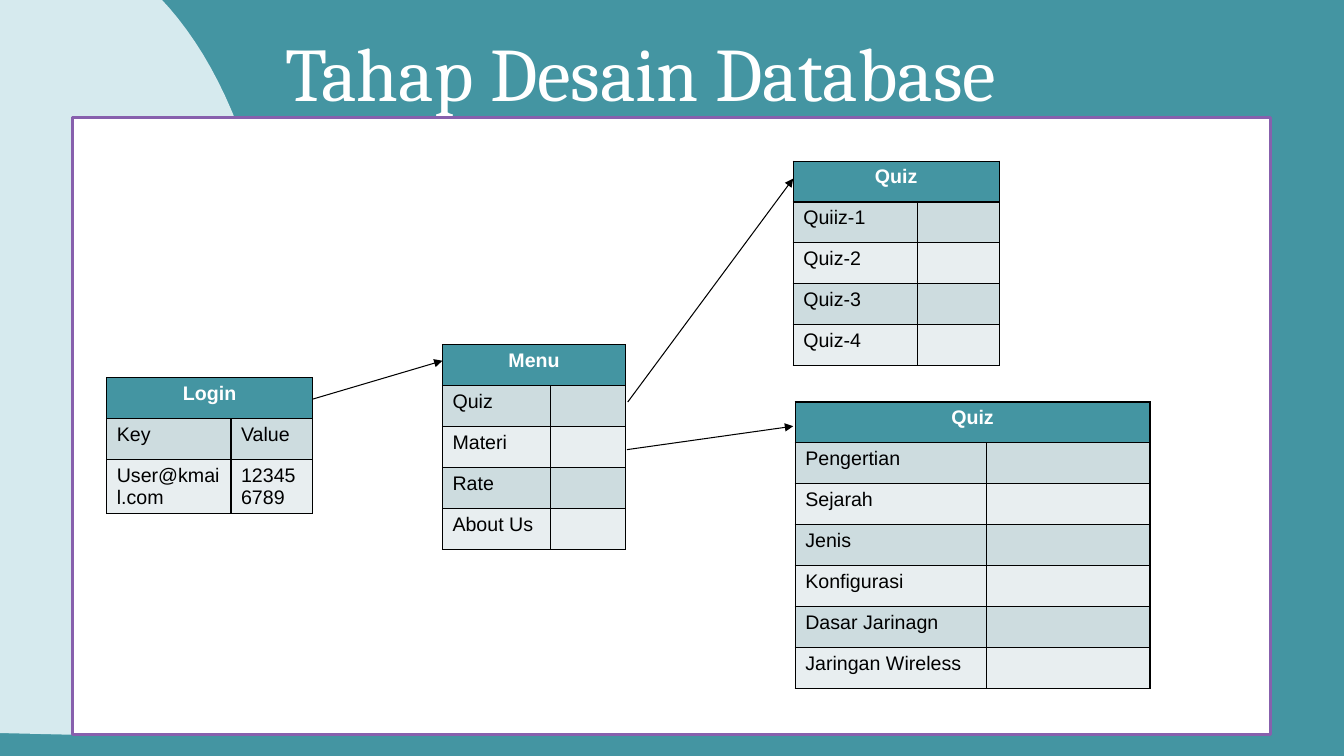
from dataclasses import dataclass

from lxml import etree
from pptx import Presentation
from pptx.dml.color import RGBColor
from pptx.enum.shapes import MSO_CONNECTOR, MSO_SHAPE
from pptx.enum.text import MSO_ANCHOR, PP_ALIGN
from pptx.oxml.ns import qn
from pptx.util import Cm, Pt

STRAIGHT = MSO_CONNECTOR.STRAIGHT
RECTANGLE = MSO_SHAPE.RECTANGLE
TOP = MSO_ANCHOR.TOP
LEFT, CENTER = PP_ALIGN.LEFT, PP_ALIGN.CENTER
TITLE_ONLY = 5
ROW_HEIGHT = 1.03
CURVE_STEPS = 24


@dataclass(frozen=True)
class Theme:
    teal: str = "4495A2"
    mist: str = "D6EAEE"
    white: str = "FFFFFF"
    black: str = "000000"
    purple: str = "8760AD"
    bands: tuple = ("CDDCDF", "E8EEF0")
    title_font: str = "Cambria"
    body_font: str = "Arial"
    title_size: float = 54
    body_size: float = 14
    frame_width: float = 2
    border_width: float = 1
    arrow_width: float = 0.75


def curve(start, first, second, end):
    points = []
    for step in range(1, CURVE_STEPS + 1):
        t = step / CURVE_STEPS
        weights = ((1 - t) ** 3, 3 * t * (1 - t) ** 2, 3 * t**2 * (1 - t), t**3)
        corners = (start, first, second, end)
        points.append(tuple(sum(w * c[axis] for w, c in zip(weights, corners)) for axis in (0, 1)))
    return points


class SlideBuilder:
    def __init__(self, page, theme):
        self.page = page
        self.theme = theme
        self.paint(page.background.fill, theme.teal)

    def paint(self, fill, color):
        fill.solid()
        fill.fore_color.rgb = RGBColor.from_string(color)

    def style(self, para, name, size, color, bold=False, align=LEFT):
        para.alignment = align
        font = para.font
        font.name, font.size, font.bold = name, Pt(size), bold
        font.color.rgb = RGBColor.from_string(color)

    def title(self, text, left, top, width, height):
        box = self.page.shapes.title
        box.left, box.top, box.width, box.height = Cm(left), Cm(top), Cm(width), Cm(height)
        box.text_frame.text = text
        box.text_frame.vertical_anchor = TOP
        para = box.text_frame.paragraphs[0]
        para.line_spacing = 0.9
        self.style(para, self.theme.title_font, self.theme.title_size, self.theme.white)

    def outline(self, points, color):
        scaled = [(Cm(x), Cm(y)) for x, y in points]
        builder = self.page.shapes.build_freeform(*scaled[0])
        builder.add_line_segments(scaled[1:], close=True)
        shape = builder.convert_to_shape()
        shape.shadow.inherit = False
        self.paint(shape.fill, color)
        shape.line.fill.background()

    def frame(self, left, top, width, height):
        shape = self.page.shapes.add_shape(RECTANGLE, Cm(left), Cm(top), Cm(width), Cm(height))
        shape.shadow.inherit = False
        self.paint(shape.fill, self.theme.white)
        self.paint(shape.line.fill, self.theme.purple)
        shape.line.width = Pt(self.theme.frame_width)

    def border(self, cell):
        properties = cell._tc.get_or_add_tcPr()
        for side in ("a:lnL", "a:lnR", "a:lnT", "a:lnB"):
            line = etree.SubElement(properties, qn(side), w=str(Pt(self.theme.border_width)))
            fill = etree.SubElement(line, qn("a:solidFill"))
            etree.SubElement(fill, qn("a:srgbClr"), val=self.theme.black)

    def cell(self, cell, text, background, color, **options):
        self.border(cell)
        self.paint(cell.fill, background)
        cell.text = text
        para = cell.text_frame.paragraphs[0]
        self.style(para, self.theme.body_font, self.theme.body_size, color, **options)

    def table(self, heading, records, left, top, widths):
        theme = self.theme
        count = len(records) + 1
        table = self.page.shapes.add_table(
            count, len(widths), Cm(left), Cm(top), Cm(sum(widths)), Cm(ROW_HEIGHT * count)
        ).table
        table.first_row = table.horz_banding = False
        for column, width in zip(table.columns, widths):
            column.width = Cm(width)
        for row in table.rows:
            row.height = Cm(ROW_HEIGHT)
        for index, text in enumerate((heading, "")):
            self.cell(table.cell(0, index), text, theme.teal, theme.white, bold=True, align=CENTER)
        table.cell(0, 0).merge(table.cell(0, 1))
        for number, record in enumerate(records):
            for index, text in enumerate(record):
                self.cell(table.cell(number + 1, index), text, theme.bands[number % 2], theme.black)

    def arrow(self, start, end):
        connector = self.page.shapes.add_connector(STRAIGHT, *map(Cm, start + end))
        self.paint(connector.line.fill, self.theme.black)
        connector.line.width = Pt(self.theme.arrow_width)
        etree.SubElement(connector.line._get_or_add_ln(), qn("a:tailEnd"), type="triangle")
        etree.SubElement(connector._element.spPr, qn("a:effectLst"))


def main():
    deck = Presentation()
    deck.slide_width, deck.slide_height = Cm(33.87), Cm(19.05)
    page = deck.slides.add_slide(deck.slide_layouts[TITLE_ONLY])
    slide = SlideBuilder(page, Theme())

    slide.title("Tahap Desain Database", 6.93, 0.79, 21.72, 1.8)
    edge_bottom, edge_right = (2.08, 18.49), (6.93, 8.51)
    slide.outline(
        [(3.3, -0.74), (-0.05, -0.74), (-0.1, 18.47), (2.01, 18.52), edge_bottom]
        + curve(edge_bottom, (4.88, 17.35), (6.93, 13.31), edge_right)
        + curve(edge_right, (6.93, 4.6), (5.56, 1.19), (3.53, -0.53)),
        slide.theme.mist,
    )
    slide.frame(1.83, 2.97, 30.2, 15.54)

    login = [("Key", "Value"), ("User@kmail.com", "123456789")]
    menu = [(name, "") for name in ("Quiz", "Materi", "Rate", "About Us")]
    quizzes = [(name, "") for name in ("Quiiz-1", "Quiz-2", "Quiz-3", "Quiz-4")]
    topics = ("Pengertian", "Sejarah", "Jenis", "Konfigurasi", "Dasar Jarinagn", "Jaringan Wireless")
    lessons = [(name, "") for name in topics]
    slide.table("Login", login, 2.69, 9.52, (3.13, 2.06))
    slide.table("Menu", menu, 11.15, 8.69, (2.72, 1.9))
    slide.table("Quiz", quizzes, 19.99, 4.06, (3.13, 2.06))
    slide.table("Quiz", lessons, 20.04, 10.13, (4.83, 4.11))

    slide.arrow((7.87, 10.06), (11.15, 9.09))
    slide.arrow((15.82, 10.13), (19.99, 4.5))
    slide.arrow((15.8, 11.33), (19.99, 10.74))

    deck.save("out.pptx")


if __name__ == "__main__":
    main()
